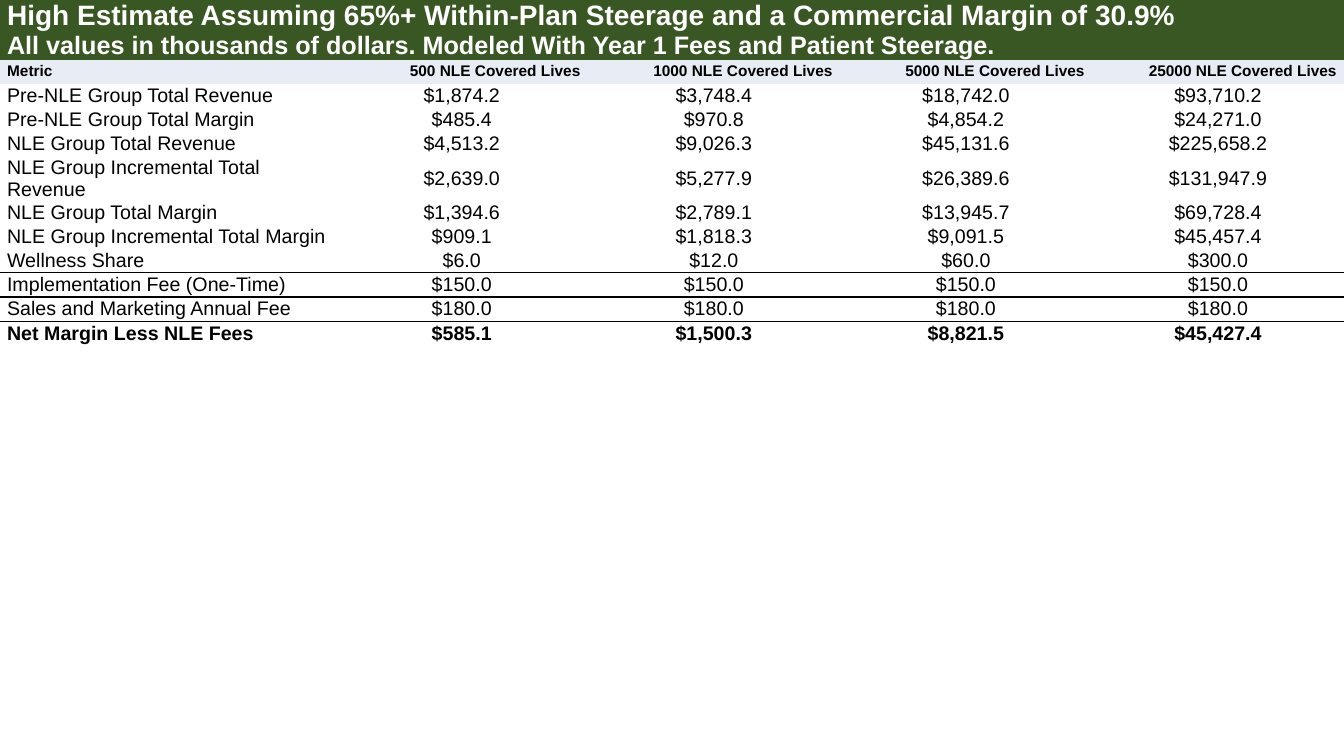
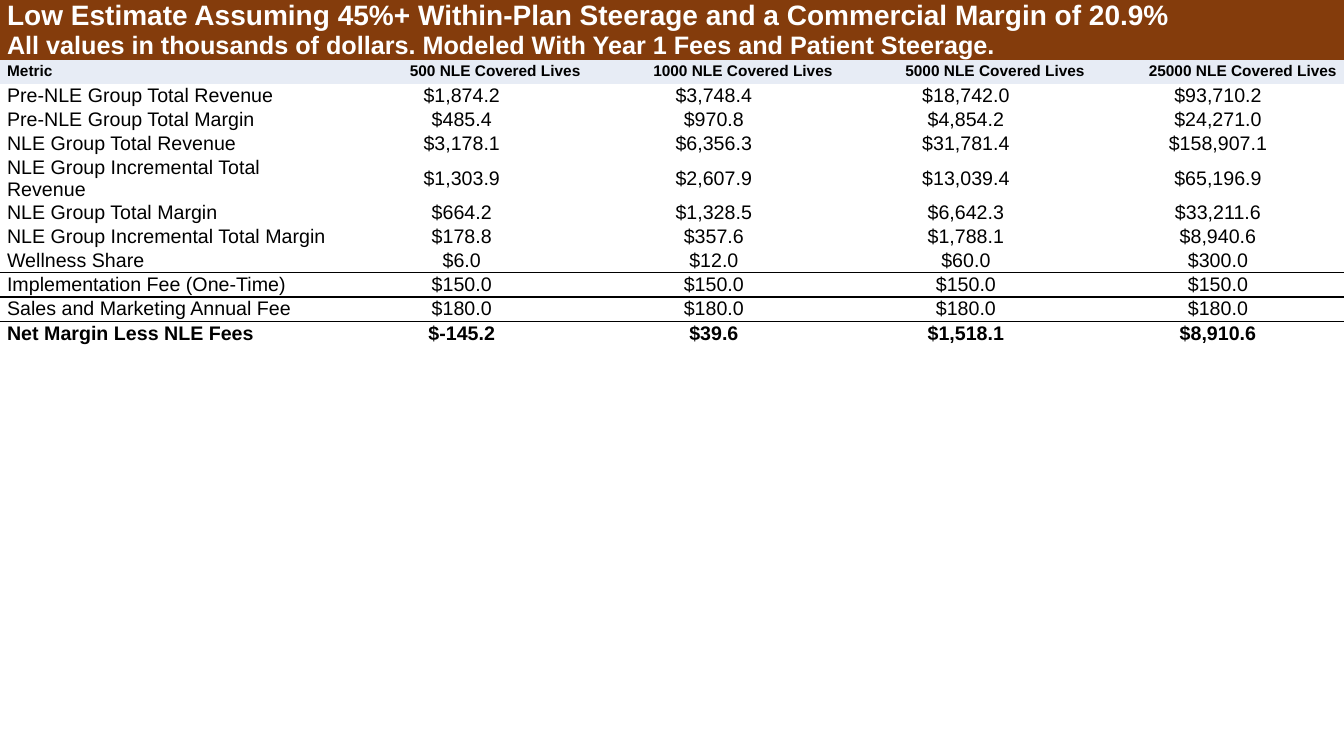
from dataclasses import dataclass

from lxml import etree
from pptx import Presentation
from pptx.dml.color import RGBColor
from pptx.enum.text import MSO_ANCHOR, PP_ALIGN
from pptx.oxml.ns import qn
from pptx.slide import Slide
from pptx.table import Table, _Cell
from pptx.util import Inches, Pt

LEFT, CENTER, RIGHT = PP_ALIGN.LEFT, PP_ALIGN.CENTER, PP_ALIGN.RIGHT
MIDDLE = MSO_ANCHOR.MIDDLE

SLIDE_W, SLIDE_H = Inches(13.33), Inches(7.5)
METRIC_W, VALUE_W = Inches(3.33), Inches(2.5)
ROW_H = Inches(0.24)
TEXT_INDENT = Inches(0.07)
BLANK_LAYOUT = 6
PLAIN_TABLE_STYLE = "{2D5ABB26-0587-4C30-8999-92F81FD0307C}"


@dataclass(frozen=True)
class Theme:
    font: str = "Arial"
    high_band: str = "385723"
    low_band: str = "843C0C"
    header_band: str = "E7ECF5"
    light_text: str = "FFFFFF"
    dark_text: str = "000000"
    rule: str = "000000"
    title_size: int = 20
    subtitle_size: int = 18
    header_size: int = 11
    body_size: int = 14
    rule_width: int = 1


THEME = Theme()


@dataclass(frozen=True)
class RowStyle:
    size: int
    color: str = THEME.dark_text
    bold: bool = False
    fill: str | None = None
    value_align: PP_ALIGN = CENTER


@dataclass(frozen=True)
class Metric:
    label: str
    values: tuple[float, ...]


@dataclass(frozen=True)
class Scenario:
    title: str
    band: str
    steerage_metrics: tuple[Metric, ...]
    net_margin: tuple[float, ...]


# Content common to both scenarios
SUBTITLE = "All values in thousands of dollars. Modeled With Year 1 Fees and Patient Steerage."
COVERED_LIVES = (500, 1000, 5000, 25000)
BASELINE = (
    Metric("Pre-NLE Group Total Revenue", (1874.2, 3748.4, 18742.0, 93710.2)),
    Metric("Pre-NLE Group Total Margin", (485.4, 970.8, 4854.2, 24271.0)),
)
WELLNESS = Metric("Wellness Share", (6.0, 12.0, 60.0, 300.0))
FEES = (
    Metric("Implementation Fee (One-Time)", (150.0,) * len(COVERED_LIVES)),
    Metric("Sales and Marketing Annual Fee", (180.0,) * len(COVERED_LIVES)),
)
NET_MARGIN_LABEL = "Net Margin Less NLE Fees"
RULED_BELOW = (WELLNESS.label, FEES[-1].label)


def steerage_metrics(*series: tuple[float, ...]) -> tuple[Metric, ...]:
    labels = (
        "NLE Group Total Revenue",
        "NLE Group Incremental Total Revenue",
        "NLE Group Total Margin",
        "NLE Group Incremental Total Margin",
    )
    return tuple(Metric(label, values) for label, values in zip(labels, series))


# Scenario content
SCENARIOS = (
    Scenario(
        "High Estimate Assuming 65%+ Within-Plan Steerage and a Commercial Margin of 30.9%",
        THEME.high_band,
        steerage_metrics(
            (4513.2, 9026.3, 45131.6, 225658.2),
            (2639.0, 5277.9, 26389.6, 131947.9),
            (1394.6, 2789.1, 13945.7, 69728.4),
            (909.1, 1818.3, 9091.5, 45457.4),
        ),
        (585.1, 1500.3, 8821.5, 45427.4),
    ),
    Scenario(
        "Low Estimate Assuming 45%+ Within-Plan Steerage and a Commercial Margin of 20.9%",
        THEME.low_band,
        steerage_metrics(
            (3178.1, 6356.3, 31781.4, 158907.1),
            (1303.9, 2607.9, 13039.4, 65196.9),
            (664.2, 1328.5, 6642.3, 33211.6),
            (178.8, 357.6, 1788.1, 8940.6),
        ),
        (-145.2, 39.6, 1518.1, 8910.6),
    ),
)


def write_cell(cell: _Cell, text: str, style: RowStyle, align: PP_ALIGN) -> None:
    cell.margin_left = cell.margin_right = cell.margin_top = cell.margin_bottom = 0
    cell.vertical_anchor = MIDDLE
    if style.fill:
        cell.fill.solid()
        cell.fill.fore_color.rgb = RGBColor.from_string(style.fill)
    else:
        cell.fill.background()
    paragraph = cell.text_frame.paragraphs[0]
    paragraph.text = text
    paragraph.alignment = align
    properties = paragraph._p.get_or_add_pPr()
    for side in ("marL", "marR"):
        properties.set(side, str(TEXT_INDENT))
    properties.set("indent", "0")
    for run in paragraph.runs:
        run.font.name = THEME.font
        run.font.size = Pt(style.size)
        run.font.bold = style.bold
        run.font.color.rgb = RGBColor.from_string(style.color)


def write_row(table: Table, row: int, texts: list[str], style: RowStyle) -> None:
    for column, text in enumerate(texts):
        align = style.value_align if column else LEFT
        write_cell(table.cell(row, column), text, style, align)


def write_band(table: Table, row: int, text: str, style: RowStyle) -> None:
    last = len(table.columns) - 1
    write_row(table, row, [text] + [""] * last, style)
    table.cell(row, 0).merge(table.cell(row, last))


def rule_cell(cell: _Cell, edge: str) -> None:
    line = etree.Element(qn(f"a:{edge}"), w=str(Pt(THEME.rule_width)))
    fill = etree.SubElement(line, qn("a:solidFill"))
    etree.SubElement(fill, qn("a:srgbClr"), val=THEME.rule)
    cell._tc.get_or_add_tcPr().insert(0, line)


def rule_below(table: Table, row: int) -> None:
    for column in range(len(table.columns)):
        rule_cell(table.cell(row, column), "lnB")
        rule_cell(table.cell(row + 1, column), "lnT")


def add_plain_table(slide: Slide, row_count: int) -> Table:
    frame = slide.shapes.add_table(
        row_count, len(COVERED_LIVES) + 1, 0, 0, SLIDE_W, SLIDE_H
    )
    table = frame.table
    table.first_row = table.horz_banding = False
    table._tbl.tblPr.find(qn("a:tableStyleId")).text = PLAIN_TABLE_STYLE
    for index, column in enumerate(table.columns):
        column.width = VALUE_W if index else METRIC_W
    for row in table.rows:
        row.height = ROW_H
    frame.height = SLIDE_H
    return table


def draw_scenario(slide: Slide, scenario: Scenario) -> None:
    net_margin = Metric(NET_MARGIN_LABEL, scenario.net_margin)
    metrics = (*BASELINE, *scenario.steerage_metrics, WELLNESS, *FEES, net_margin)
    first_metric_row = 3
    table = add_plain_table(slide, first_metric_row + len(metrics))

    # Title bands
    bands = ((scenario.title, THEME.title_size), (SUBTITLE, THEME.subtitle_size))
    for row, (text, size) in enumerate(bands):
        style = RowStyle(size, THEME.light_text, True, scenario.band)
        write_band(table, row, text, style)

    # Column headings
    headings = ["Metric"] + [f"{lives} NLE Covered Lives" for lives in COVERED_LIVES]
    heading_style = RowStyle(
        THEME.header_size, bold=True, fill=THEME.header_band, value_align=RIGHT
    )
    write_row(table, len(bands), headings, heading_style)

    # Metric rows
    for row, metric in enumerate(metrics, start=first_metric_row):
        texts = [metric.label] + [f"${value:,.1f}" for value in metric.values]
        style = RowStyle(THEME.body_size, bold=metric is net_margin)
        write_row(table, row, texts, style)
        if metric.label in RULED_BELOW:
            rule_below(table, row)


def main() -> None:
    deck = Presentation()
    deck.slide_width, deck.slide_height = SLIDE_W, SLIDE_H
    for scenario in SCENARIOS:
        slide = deck.slides.add_slide(deck.slide_layouts[BLANK_LAYOUT])
        draw_scenario(slide, scenario)
    deck.save("out.pptx")


if __name__ == "__main__":
    main()
